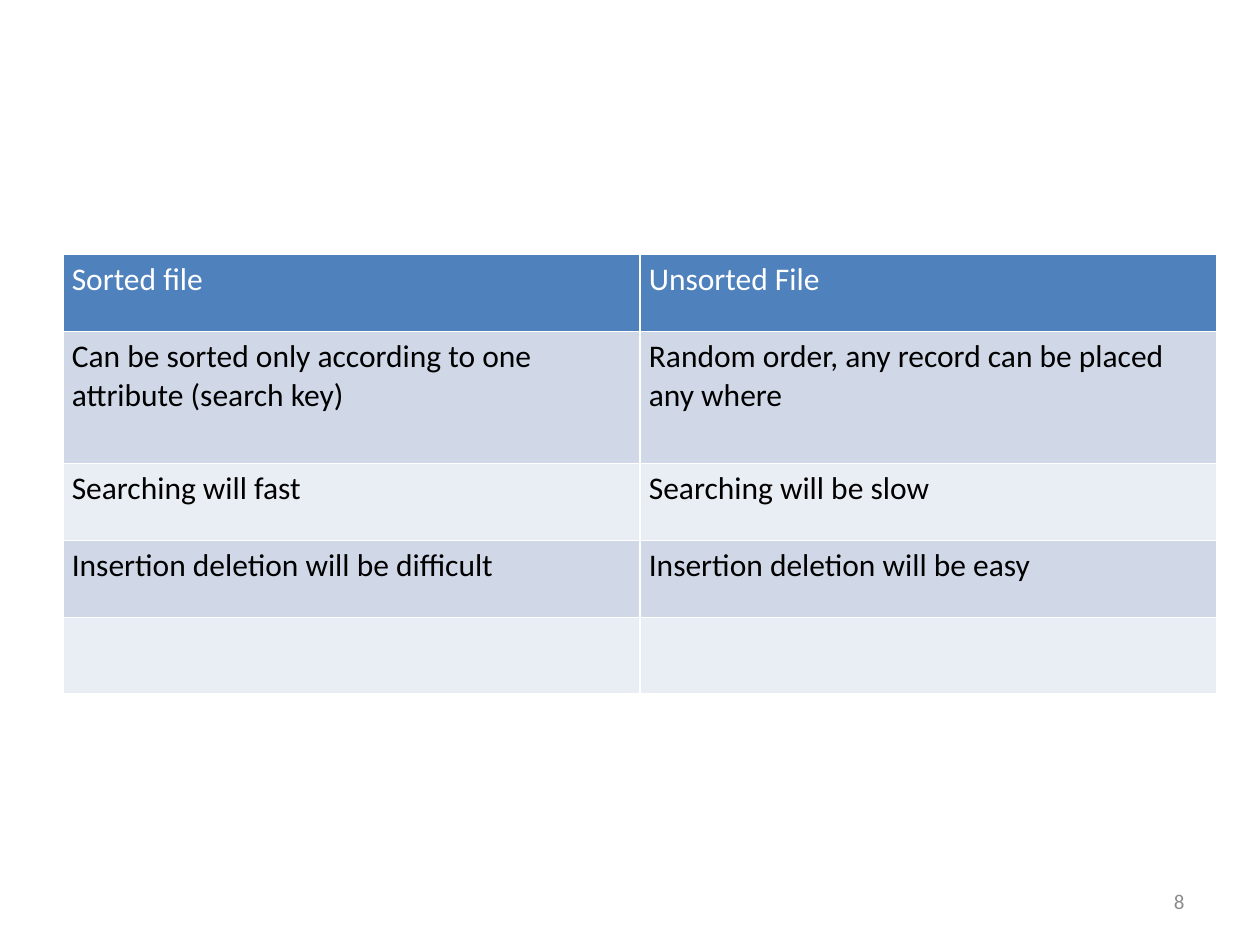
from pptx import Presentation
from pptx.dml.color import RGBColor
from pptx.enum.text import MSO_ANCHOR, PP_ALIGN
from pptx.util import Inches, Pt

FONT = "Calibri"
WHITE = RGBColor(0xFF, 0xFF, 0xFF)
BLACK = RGBColor(0x00, 0x00, 0x00)
GREY = RGBColor(0x8C, 0x8C, 0x8C)
HEADER_BLUE = RGBColor(0x4F, 0x81, 0xBD)
BANDS = (RGBColor(0xE9, 0xED, 0xF4), RGBColor(0xD0, 0xD8, 0xE8))

# Content: row height in inches, then the two cells
COMPARISON = [
    (0.61, ("Sorted file", "Unsorted File")),
    (1.05, ("Can be sorted only according to one attribute (search key)",
            "Random order, any record can be placed any where")),
    (0.61, ("Searching will fast", "Searching will be slow")),
    (0.61, ("Insertion deletion will be difficult",
            "Insertion deletion will be easy")),
    (0.61, ("", "")),
]
PAGE_NUMBER = "8"
COLUMN_WIDTH = 4.58


def add_run(paragraph, text, size, color):
    run = paragraph.add_run()
    run.text = text
    run.font.name = FONT
    run.font.size = Pt(size)
    run.font.bold = False
    run.font.color.rgb = color


prs = Presentation()
prs.slide_width, prs.slide_height = Inches(10), Inches(7.5)
slide = prs.slides.add_slide(prs.slide_layouts[6])

# Comparison table; its default style draws the white rules
comparison = slide.shapes.add_table(
    len(COMPARISON), 2, Inches(0.5), Inches(2.02), Inches(2 * COLUMN_WIDTH),
    Inches(sum(height for height, _ in COMPARISON))).table
for column in comparison.columns:
    column.width = Inches(COLUMN_WIDTH)
for r, (height, texts) in enumerate(COMPARISON):
    comparison.rows[r].height = Inches(height)
    for c, text in enumerate(texts):
        cell = comparison.cell(r, c)
        cell.margin_left = cell.margin_right = Inches(0.07)
        cell.margin_top = cell.margin_bottom = Inches(0.05)
        cell.fill.solid()
        cell.fill.fore_color.rgb = BANDS[r % 2] if r else HEADER_BLUE
        if text:
            add_run(cell.text_frame.paragraphs[0], text, 18, BLACK if r else WHITE)

# Page number
page_number = slide.shapes.add_textbox(
    Inches(7.17), Inches(6.95), Inches(2.33), Inches(0.4)).text_frame
page_number.word_wrap = True
page_number.vertical_anchor = MSO_ANCHOR.MIDDLE
page_number.paragraphs[0].alignment = PP_ALIGN.RIGHT
add_run(page_number.paragraphs[0], PAGE_NUMBER, 12, GREY)

prs.save("out.pptx")
